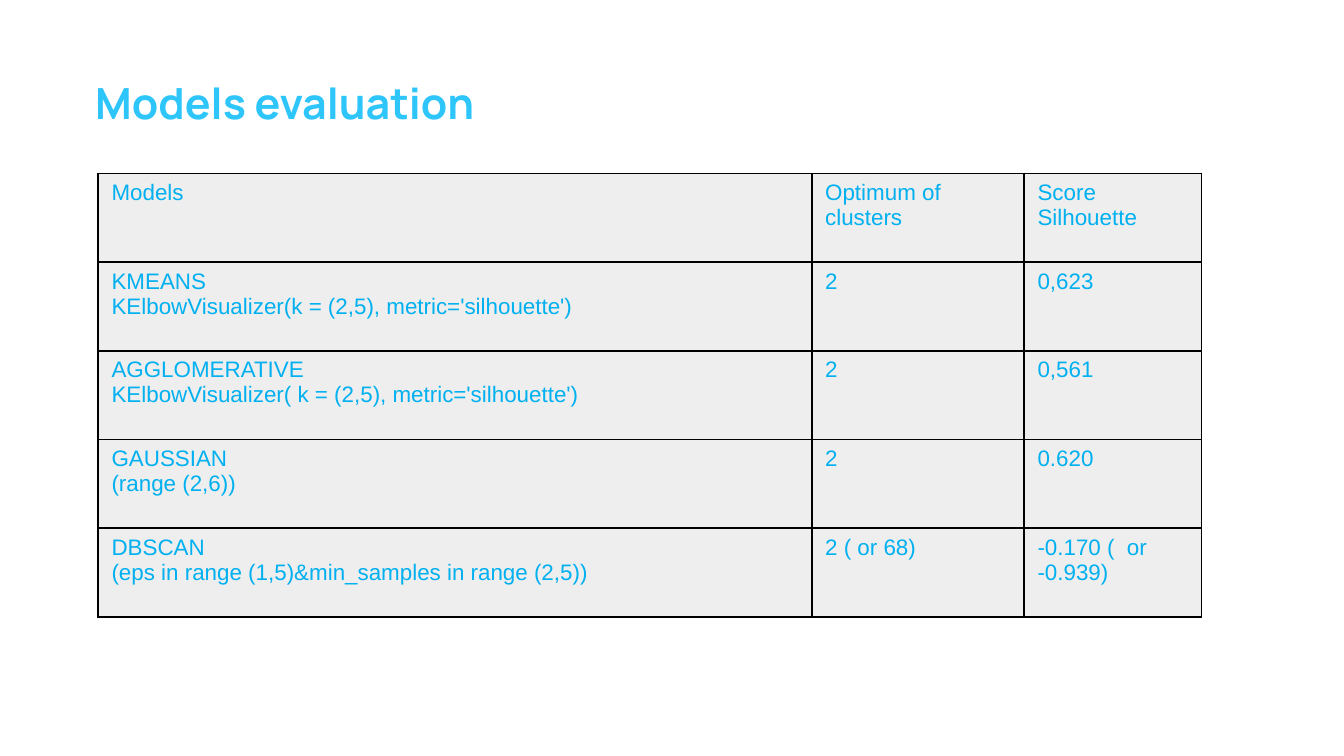
from lxml.etree import SubElement
from pptx import Presentation
from pptx.dml.color import RGBColor
from pptx.oxml.ns import qn
from pptx.util import Inches, Pt

COLORS = {"title": "2DC5FA", "text": "00B0F0", "cell": "EEEEEE", "border": "000000"}
SLIDE_W = Inches(10)
SLIDE_H = SLIDE_W * 9 // 16

COLUMN_WIDTHS = (5.31, 1.58, 1.32)
EVALUATION = [
    ("Models", "Optimum of clusters", "Score Silhouette"),
    ("KMEANS\nKElbowVisualizer(k = (2,5), metric='silhouette')", "2", "0,623"),
    ("AGGLOMERATIVE\nKElbowVisualizer( k = (2,5), metric='silhouette')", "2", "0,561"),
    ("GAUSSIAN\n(range (2,6))", "2", "0.620"),
    ("DBSCAN\n(eps in range (1,5)&min_samples in range (2,5))", "2 ( or 68)",
     "-0.170 (  or -0.939)"),
]


def style_font(paragraph, name, size, color, bold=False):
    for run in paragraph.runs:
        run.font.name = name
        run.font.size = Pt(size)
        run.font.bold = bold
        run.font.color.rgb = RGBColor.from_string(COLORS[color])


def add_borders(cell, width=1):
    properties = cell._tc.get_or_add_tcPr()
    for position, side in enumerate(("lnL", "lnR", "lnT", "lnB")):
        line = properties.makeelement(qn(f"a:{side}"), {"w": str(Pt(width))})
        fill = SubElement(line, qn("a:solidFill"))
        SubElement(fill, qn("a:srgbClr"), val=COLORS["border"])
        # Borders must stand before the cell fill
        properties.insert(position, line)


def add_title(slide, left, top, width, height):
    frame = slide.shapes.add_textbox(left, top, width, height).text_frame
    frame.word_wrap = True
    frame.margin_left = frame.margin_right = Inches(0.1)
    frame.margin_top = frame.margin_bottom = Inches(0.1)
    heading = frame.paragraphs[0]
    heading.text = "Models evaluation"
    heading.space_after = Pt(16)
    style_font(heading, "Manrope", 23, "title", bold=True)


def add_evaluation_table(slide, left, top, width, height):
    row_count = len(EVALUATION)
    table = slide.shapes.add_table(
        row_count, len(COLUMN_WIDTHS), left, top, width, height).table
    table.first_row = table.horz_banding = False

    # Columns share the box width, rows are equal
    for column, share in zip(table.columns, COLUMN_WIDTHS):
        column.width = int(width * share / sum(COLUMN_WIDTHS))
    for row, entries in zip(table.rows, EVALUATION):
        row.height = int(height / row_count)
        for cell, entry in zip(row.cells, entries):
            cell.text_frame.text = entry
            for paragraph in cell.text_frame.paragraphs:
                style_font(paragraph, "Arial", 12, "text")
            cell.fill.solid()
            cell.fill.fore_color.rgb = RGBColor.from_string(COLORS["cell"])
            add_borders(cell)


def main():
    deck = Presentation()
    deck.slide_width, deck.slide_height = SLIDE_W, SLIDE_H
    slide = deck.slides.add_slide(deck.slide_layouts[6])
    add_title(slide, Inches(0.61), Inches(0.47), Inches(5.34), Inches(0.54))
    add_evaluation_table(slide, Inches(0.73), Inches(1.29), Inches(8.21), Inches(3.3))
    deck.save("out.pptx")


if __name__ == "__main__":
    main()
